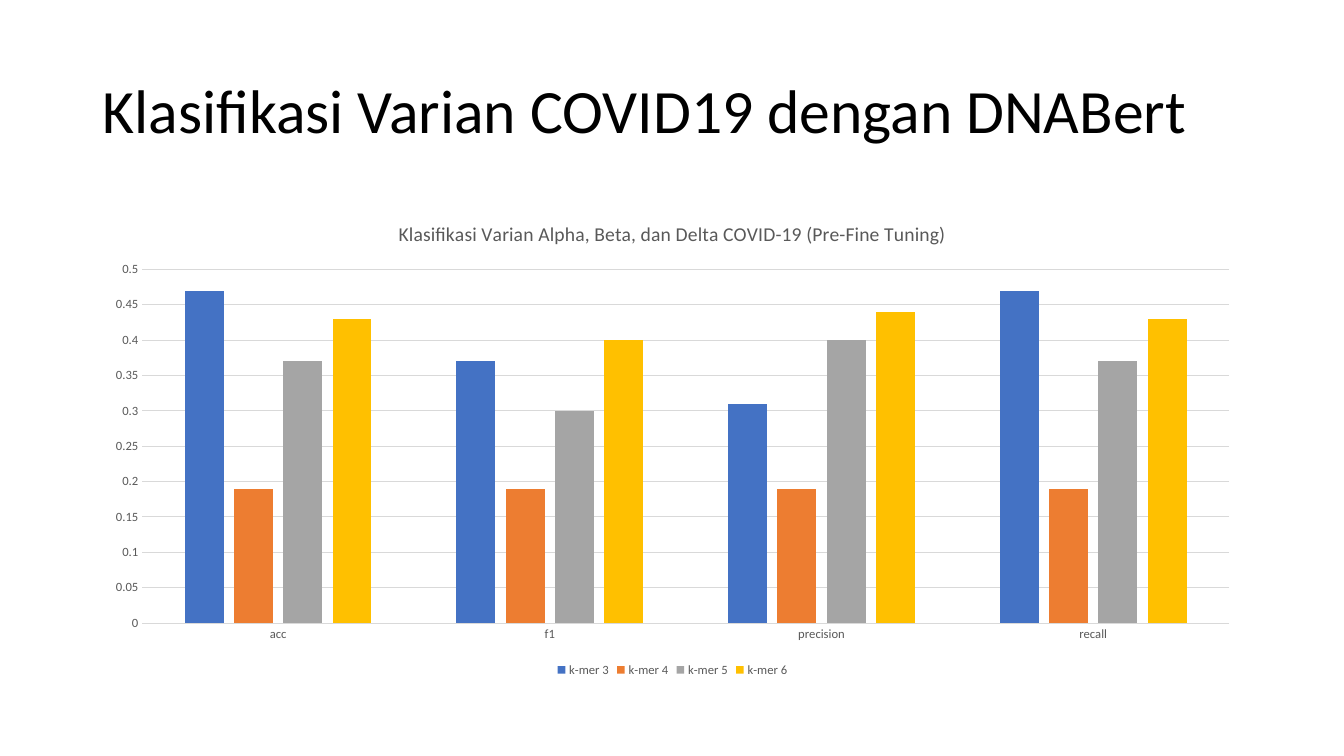
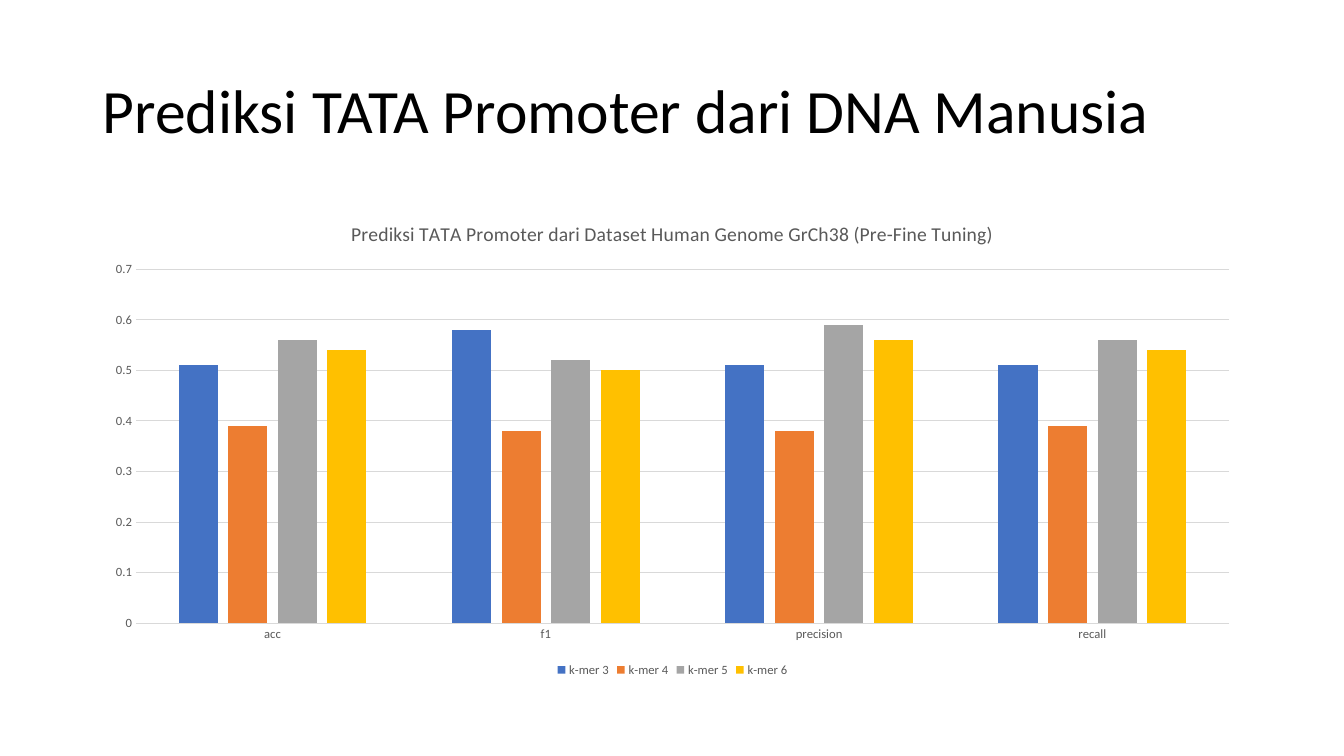
from pptx import Presentation
from pptx.chart.data import CategoryChartData
from pptx.dml.color import RGBColor
from pptx.enum.chart import XL_CHART_TYPE, XL_LEGEND_POSITION, XL_TICK_MARK
from pptx.enum.text import MSO_ANCHOR, MSO_AUTO_SIZE, PP_ALIGN
from pptx.util import Inches, Pt

FONT = "Calibri"
BLACK, GRAY, GRID = "000000", "595959", "D9D9D9"
TITLE_BOX = (0.92, 0.4, 11.5, 1.45)
CHART_BOX = (0.92, 2, 11.5, 4.76)
METRICS = ["acc", "f1", "precision", "recall"]
KMER_COLORS = {
    "k-mer 3": "4472C4",
    "k-mer 4": "ED7D31",
    "k-mer 5": "A5A5A5",
    "k-mer 6": "FFC000",
}


def color(hex_value):
    return RGBColor.from_string(hex_value)


def format_font(font, size, fill):
    font.name = FONT
    font.size = Pt(size)
    font.bold = False
    font.color.rgb = color(fill)


def write(frame, text, size=9, fill=GRAY, align=None, spacing=None):
    paragraph = frame.paragraphs[0]
    paragraph.alignment = align
    paragraph.line_spacing = spacing
    run = paragraph.add_run()
    run.text = text
    format_font(run.font, size, fill)


def place_title(slide, box, text):
    title = slide.shapes.title
    title.left, title.top, title.width, title.height = map(Inches, box)
    frame = title.text_frame
    frame.word_wrap = True
    frame.auto_size = MSO_AUTO_SIZE.NONE
    frame.vertical_anchor = MSO_ANCHOR.MIDDLE
    write(frame, text, size=44, fill=BLACK, align=PP_ALIGN.LEFT, spacing=0.9)


def style_axis(axis):
    axis.major_tick_mark = XL_TICK_MARK.NONE
    axis.minor_tick_mark = XL_TICK_MARK.NONE
    format_font(axis.tick_labels.font, 9, GRAY)


def style_line(line):
    line.color.rgb = color(GRID)
    line.width = Pt(0.75)


def place_scores(slide, box, heading, scores, top_score, step):
    data = CategoryChartData()
    data.categories = METRICS
    for kmer, values in zip(KMER_COLORS, scores):
        data.add_series(kmer, values)
    chart = slide.shapes.add_chart(
        XL_CHART_TYPE.COLUMN_CLUSTERED, *map(Inches, box), data
    ).chart
    format_font(chart.font, 10, BLACK)
    chart.has_title = True
    write(chart.chart_title.text_frame, heading, size=14)
    chart.chart_title.include_in_layout = False

    chart.has_legend = True
    chart.legend.position = XL_LEGEND_POSITION.BOTTOM
    chart.legend.include_in_layout = False
    format_font(chart.legend.font, 9, GRAY)

    style_axis(chart.category_axis)
    style_line(chart.category_axis.format.line)
    score_axis = chart.value_axis
    style_axis(score_axis)
    score_axis.format.line.fill.background()
    score_axis.minimum_scale = 0
    score_axis.maximum_scale = top_score
    score_axis.major_unit = step
    style_line(score_axis.major_gridlines.format.line)

    plot = chart.plots[0]
    plot.vary_by_categories = False
    plot.gap_width = 219
    plot.overlap = -27
    for series, fill in zip(plot.series, KMER_COLORS.values()):
        series.format.fill.solid()
        series.format.fill.fore_color.rgb = color(fill)


def add_score_slide(deck, title, **chart_content):
    slide = deck.slides.add_slide(deck.slide_layouts.get_by_name("Title Only"))
    place_title(slide, TITLE_BOX, title)
    place_scores(slide, CHART_BOX, **chart_content)


deck = Presentation()
deck.slide_width = Inches(13.33)
deck.slide_height = Inches(7.5)
background = deck.slide_master.background.fill
background.solid()
background.fore_color.rgb = color("FFFFFF")

add_score_slide(
    deck,
    "Klasifikasi Varian COVID19 dengan DNABert",
    heading="Klasifikasi Varian Alpha, Beta, dan Delta COVID-19 (Pre-Fine Tuning)",
    scores=[
        (0.47, 0.37, 0.31, 0.47),
        (0.19, 0.19, 0.19, 0.19),
        (0.37, 0.3, 0.4, 0.37),
        (0.43, 0.4, 0.44, 0.43),
    ],
    top_score=0.5,
    step=0.05,
)
add_score_slide(
    deck,
    "Prediksi TATA Promoter dari DNA Manusia",
    heading="Prediksi TATA Promoter dari Dataset Human Genome GrCh38 (Pre-Fine Tuning)",
    scores=[
        (0.51, 0.58, 0.51, 0.51),
        (0.39, 0.38, 0.38, 0.39),
        (0.56, 0.52, 0.59, 0.56),
        (0.54, 0.5, 0.56, 0.54),
    ],
    top_score=0.7,
    step=0.1,
)
deck.save("out.pptx")
